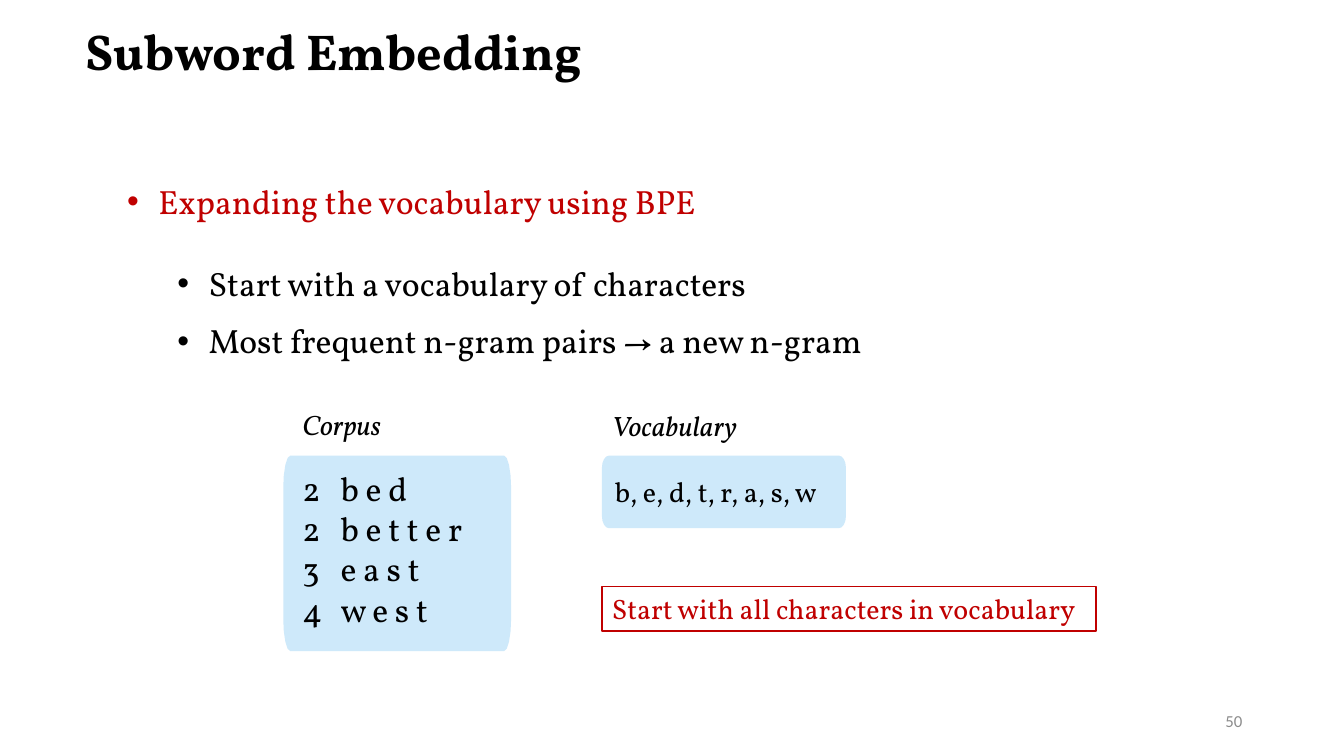
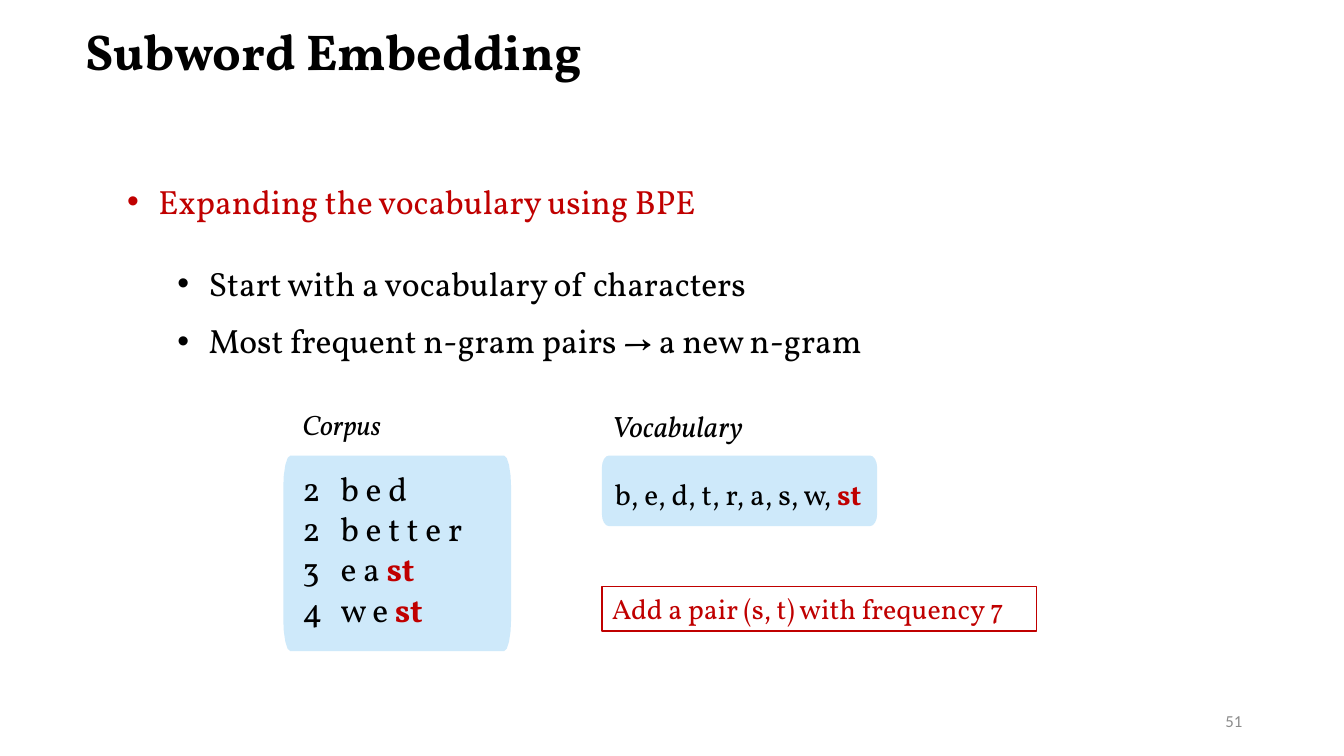
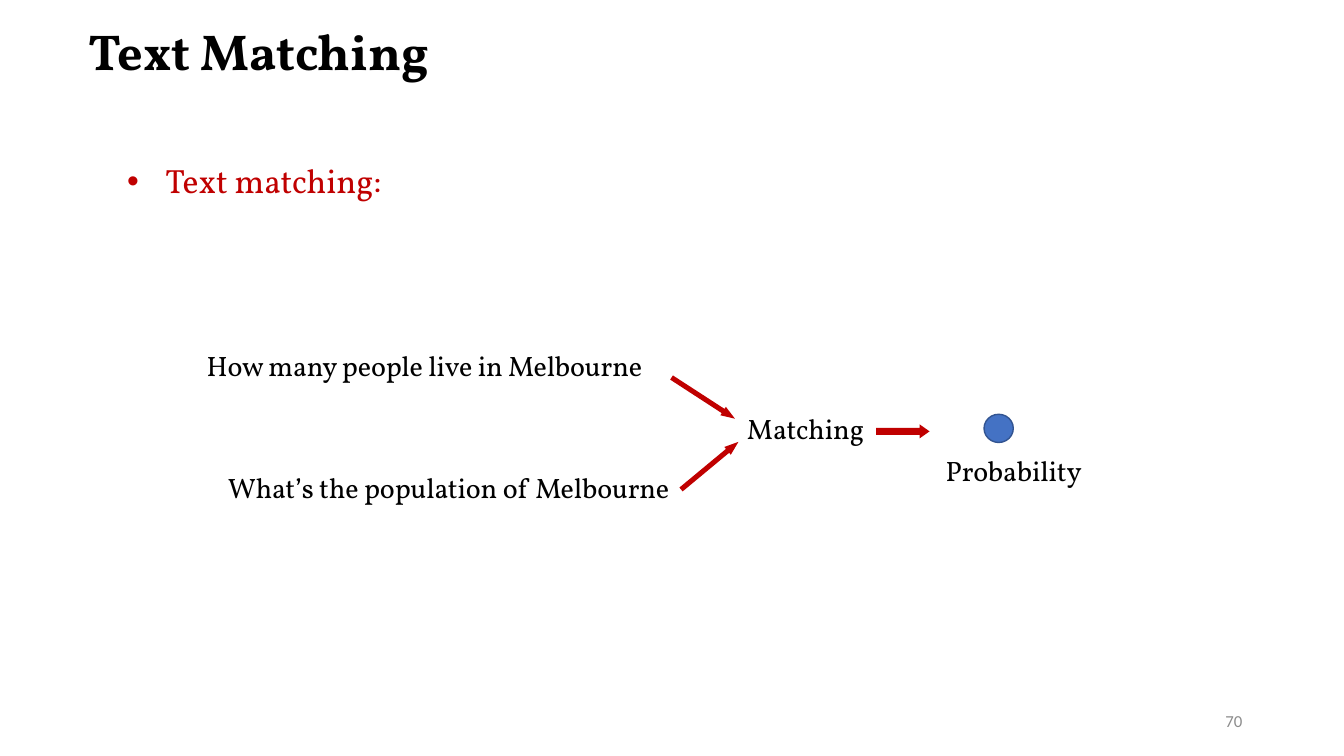
from math import cos, pi, sin

from pptx import Presentation
from pptx.dml.color import RGBColor
from pptx.enum.shapes import MSO_SHAPE
from pptx.enum.text import MSO_ANCHOR, MSO_AUTO_SIZE, PP_ALIGN
from pptx.oxml.ns import qn
from pptx.util import Inches, Pt

# Shared look
COLORS = {"text": "000000", "accent": "C00000", "panel": "CEE9FA",
          "number": "8C8C8C", "node": "4472C4", "node_line": "325491"}
FONT = "Vollkorn"
FRAME = {"word_wrap": True, "auto_size": MSO_AUTO_SIZE.NONE,
         "vertical_anchor": MSO_ANCHOR.TOP}
TIGHT = {"margin_left": 0, "margin_right": 0,
         "margin_top": Inches(0.01), "margin_bottom": 0}
HIGHLIGHT = {"color": "accent", "bold": True}

# Corpus rows: count, separate characters, merged pair
CORPUS = [("2", "b e d", ""), ("2", "b e t t e r", ""),
          ("3", "e a ", "st"), ("4", "w e ", "st")]
CORPUS_TAB = 0.38


def rgb(name):
    return RGBColor.from_string(COLORS[name])


def set_attrs(obj, values):
    for name, value in values.items():
        setattr(obj, name, value)


def place(sp, left, top, width, height):
    set_attrs(sp, {"left": Inches(left), "top": Inches(top),
                   "width": Inches(width), "height": Inches(height)})


def set_font(font, size, color="text", **values):
    set_attrs(font, {"name": FONT, "size": Pt(size), **values})
    font.color.rgb = rgb(color)


def add_runs(p, runs, size, spacing=0, **style):
    """Fill a paragraph with runs given as (text, style changes)."""
    for text, changes in runs:
        r = p.add_run()
        r.text = text
        set_font(r.font, size, **{**style, **changes})
        if spacing:
            r.font._element.set("spc", str(round(spacing * 100)))


def next_paragraph(tf, first, before=0):
    p = tf.paragraphs[0] if first else tf.add_paragraph()
    p.alignment = PP_ALIGN.LEFT
    p.space_before = p.space_after = Pt(0)
    if not first:
        p.space_before = Pt(before)
    return p


def set_indent(p, left, hanging=0):
    pPr = p._p.get_or_add_pPr()
    pPr.set("marL", str(Inches(left)))
    pPr.set("indent", str(-Inches(hanging)))
    return pPr


def add_text(slide, box, text, size=20, frame=None, **style):
    """Text box with one line; returns its frame."""
    tf = slide.shapes.add_textbox(*map(Inches, box)).text_frame
    set_attrs(tf, {**FRAME, **(frame or {})})
    add_runs(next_paragraph(tf, True), [(text, {})], size, **style)
    return tf


def fill_shape(sp, color, line=None):
    sp.shadow.inherit = False
    if color:
        sp.fill.solid()
        sp.fill.fore_color.rgb = rgb(color)
    else:
        sp.fill.background()
    if line:
        sp.line.color.rgb = rgb(line)
        sp.line.width = Pt(1)
    else:
        sp.line.fill.background()


def start_slide(prs, title, number, left, body_box, bullets):
    """Title, bulleted body and slide number."""
    slide = prs.slides.add_slide(prs.slide_layouts[1])
    sp = slide.shapes.title
    place(sp, left, 0.15, 8, 0.71)
    set_attrs(sp.text_frame, FRAME)
    add_runs(next_paragraph(sp.text_frame, True), [(title, {})], 36, bold=True)

    body = slide.placeholders[1]
    place(body, *body_box)
    set_attrs(body.text_frame, FRAME)
    for i, (text, color, margin, hanging, before) in enumerate(bullets):
        p = next_paragraph(body.text_frame, i == 0, before)
        pPr = set_indent(p, margin, hanging)
        font = pPr.makeelement(qn("a:buFont"), {"typeface": "Arial"})
        char = pPr.makeelement(qn("a:buChar"), {"char": "•"})
        pPr.extend([font, char])
        add_runs(p, [(text, {})], 24, color=color)

    tf = add_text(slide, (9.42, 6.95, 3, 0.4), str(number), 12,
                  {"vertical_anchor": MSO_ANCHOR.MIDDLE},
                  color="number", name="Calibri")
    tf.paragraphs[0].alignment = PP_ALIGN.RIGHT
    return slide


def add_panel(slide, left, top, width, height, rx, ry, steps=4):
    """Panel whose corners are quarter ellipses."""
    centres = [(left + width - rx, top + height - ry), (left + rx, top + height - ry),
               (left + rx, top + ry), (left + width - rx, top + ry)]
    points = []
    for corner, (cx, cy) in enumerate(centres):
        for step in range(steps + 1):
            angle = (corner + step / steps) * pi / 2
            points.append((Inches(cx + rx * cos(angle)), Inches(cy + ry * sin(angle))))
    builder = slide.shapes.build_freeform(*points[0])
    builder.add_line_segments(points[1:], close=True)
    fill_shape(builder.convert_to_shape(), "panel")


def add_corpus(slide, merged):
    add_panel(slide, 2.81, 4.52, 2.26, 1.94, 0.07, 0.32)
    add_text(slide, (2.9, 3.99, 1.3, 0.44), "Corpus", italic=True)
    tf = slide.shapes.add_textbox(*map(Inches, (2.9, 4.59, 2.73, 1.72))).text_frame
    set_attrs(tf, FRAME)
    for i, (count, chars, pair) in enumerate(CORPUS):
        p = next_paragraph(tf, i == 0)
        pPr = p._p.get_or_add_pPr()
        tabs = pPr.makeelement(qn("a:tabLst"), {})
        tabs.append(pPr.makeelement(
            qn("a:tab"), {"pos": str(Inches(CORPUS_TAB)), "algn": "l"}))
        pPr.append(tabs)
        tail = pair if merged else " ".join(pair)
        runs = [(f"{count}\t{chars}", {})]
        if tail:
            runs.append((tail, HIGHLIGHT if merged else {}))
        add_runs(p, runs, 24)


def add_vocabulary(slide, panel_size, size, runs):
    add_panel(slide, 5.97, 4.52, *panel_size, 0.07, 0.12)
    tf = add_text(slide, (6.06, 4.04, 2.73, 1.04), "Vocabulary", size, TIGHT,
                  italic=True, spacing=0.2)
    set_indent(tf.paragraphs[0], 0.01)
    p = next_paragraph(tf, False, 23.3)
    set_indent(p, 0.04)
    add_runs(p, runs, size)


def add_note(slide, width, text):
    sp = slide.shapes.add_shape(MSO_SHAPE.RECTANGLE,
                                *map(Inches, (5.97, 5.82, width, 0.44)))
    fill_shape(sp, None, "accent")
    set_attrs(sp.text_frame, FRAME)
    add_runs(next_paragraph(sp.text_frame, True), [(text, {})], 20, color="accent")


def add_block_arrow(slide, box, head, rotation=0):
    sp = slide.shapes.add_shape(MSO_SHAPE.RIGHT_ARROW, *map(Inches, box))
    sp.adjustments[0] = 0.5
    sp.adjustments[1] = head
    sp.rotation = rotation
    fill_shape(sp, "accent")


def subword_slide(prs, number, merged, panel_size, size, vocabulary, note_width, note):
    slide = start_slide(prs, "Subword Embedding", number, 0.75, (1.16, 1.74, 8.81, 1.9), [
        ("Expanding the vocabulary using BPE", "accent", 0.31, 0.31, 0),
        ("Start with a vocabulary of characters", "text", 0.81, 0.31, 30.3),
        ("Most frequent n-gram pairs → a new n-gram", "text", 0.81, 0.31, 12)])
    add_corpus(slide, merged)
    add_vocabulary(slide, panel_size, size, vocabulary)
    add_note(slide, note_width, note)


def matching_slide(prs):
    slide = start_slide(prs, "Text Matching", 70, 0.78, (1.16, 1.54, 10.16, 0.5),
                        [("Text matching:", "accent", 0.38, 0.38, 0)])
    # Sentences and result
    for left, top, width, text in [
            (2.05, 3.45, 4.68, "How many people live in Melbourne"),
            (2.26, 4.66, 5.7, "What’s the population of Melbourne"),
            (9.38, 4.49, 1.61, "Probability")]:
        add_text(slide, (left, top, width, 0.35), text, frame=TIGHT, spacing=-0.1)
    add_text(slide, (7.31, 4.03, 1.45, 0.44), "Matching")
    # Flow
    add_block_arrow(slide, (8.69, 4.21, 0.53, 0.14), 0.71)
    add_block_arrow(slide, (6.6, 3.9, 0.75, 0.1), 1.4, 33)
    add_block_arrow(slide, (6.67, 4.57, 0.74, 0.1), 1.4, 320.3)
    node = slide.shapes.add_shape(MSO_SHAPE.OVAL, *map(Inches, (9.76, 4.11, 0.29, 0.28)))
    fill_shape(node, "node", "node_line")


def main():
    prs = Presentation()
    prs.slide_width, prs.slide_height = Inches(13.33), Inches(7.5)
    subword_slide(prs, 50, False, (2.42, 0.72), 20,
                  [("b, e, d, t, r, a, s, w", {})],
                  4.9, "Start with all characters in vocabulary")
    subword_slide(prs, 51, True, (2.73, 0.7), 21,
                  [("b, e, d, t, r, a, s, w, ", {}), ("st", HIGHLIGHT)],
                  4.31, "Add a pair (s, t) with frequency 7")
    matching_slide(prs)
    prs.save("out.pptx")


if __name__ == "__main__":
    main()
